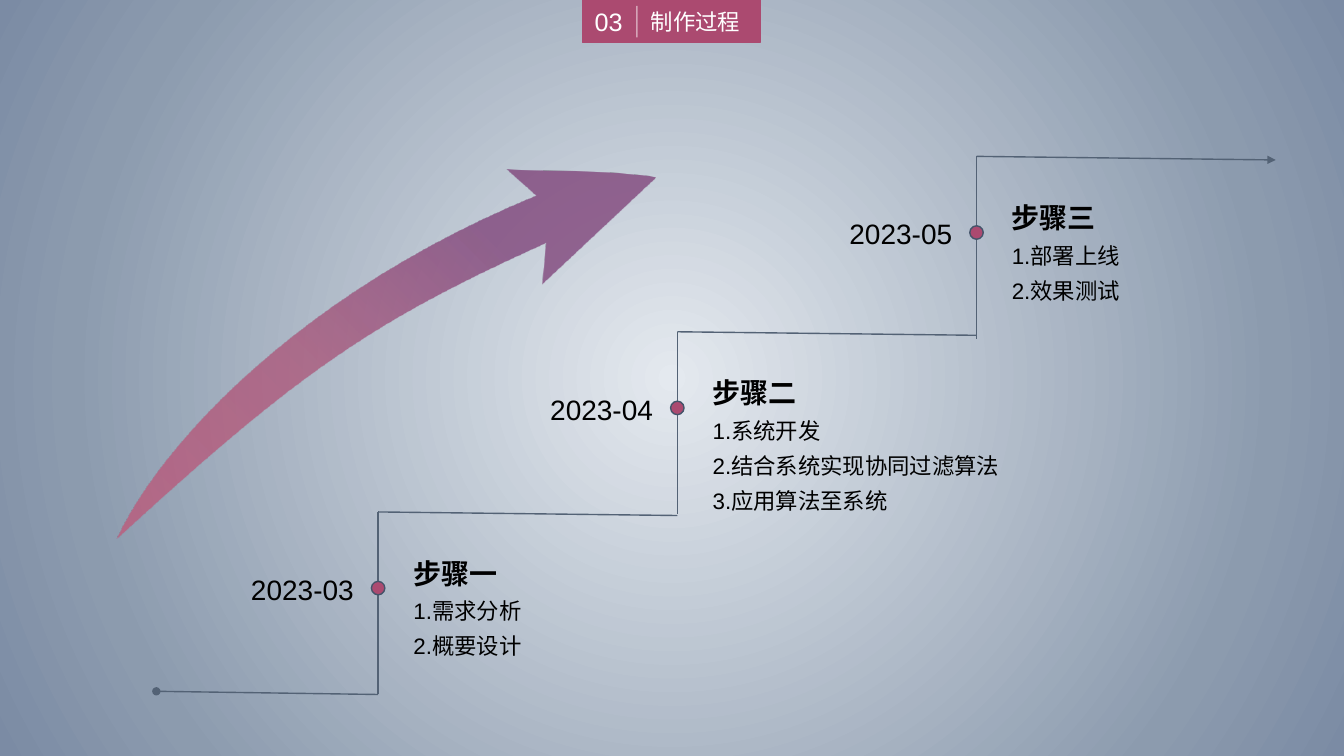
from dataclasses import dataclass

from lxml import etree
from pptx import Presentation
from pptx.dml.color import RGBColor
from pptx.enum.shapes import MSO_CONNECTOR, MSO_SHAPE
from pptx.enum.text import MSO_ANCHOR, PP_ALIGN
from pptx.oxml.ns import qn
from pptx.util import Cm, Pt

RECT, OVAL = MSO_SHAPE.RECTANGLE, MSO_SHAPE.OVAL
STRAIGHT = MSO_CONNECTOR.STRAIGHT
LEFT, CENTER, RIGHT = PP_ALIGN.LEFT, PP_ALIGN.CENTER, PP_ALIGN.RIGHT
TOP, MIDDLE = MSO_ANCHOR.TOP, MSO_ANCHOR.MIDDLE


@dataclass(frozen=True)
class Theme:
    font: str = "Arial"
    accent: str = "AB4A70"
    stair: str = "536275"
    dot_line: str = "44546A"
    ink: str = "000000"
    white: str = "FFFFFF"
    heading: int = 20
    number: int = 18
    body: int = 16
    # Gradient stops: position %, colour, opacity %
    backdrop: tuple = ((0, "E4E9EF", 100), (78, "8C9BAE", 100), (100, "7B8BA4", 100))
    sweep: tuple = ((25, "7D4178", 77), (60, "AB4A70", 68), (100, "C54F71", 68))


THEME = Theme()

# Staircase geometry in cm
RUN, DROP, RISE = 7.54, 0.09, 4.6
FIRST_X = 9.53
DOT, DOT_Y = 0.34, 1.92

# Date, heading, tasks, top of the riser, width and height of the task box
STEPS = [
    ("2023-03", "步骤一", ["1.需求分析", "2.概要设计"], 12.9, 3.23, 2.03),
    ("2023-04", "步骤二", ["1.系统开发", "2.结合系统实现协同过滤算法", "3.应用算法至系统"],
     8.36, 7.75, 2.92),
    ("2023-05", "步骤三", ["1.部署上线", "2.效果测试"], 3.94, 3.23, 2.03),
]

# Growth arrow: two points make a line, four a Bézier curve
ARROW_START = (2.95, 13.56)
ARROW_SEGMENTS = [
    [(4.06, 11.15), (7.62, 7.34), (13.49, 4.93)],
    [(12.75, 4.27)],
    [(14, 4.34), (15.24, 4.27), (16.51, 4.47)],
    [(13.64, 7.16)],
    [(13.74, 6.12)],
    [(9.4, 8.08), (7.57, 9.32), ARROW_START],
]


def rgb(color):
    return RGBColor.from_string(color)


def set_alpha(color_element, percent):
    etree.SubElement(color_element, qn("a:alpha"), val=str(percent * 1000))


def apply_radial_gradient(fill, element, stops, focus):
    """Give fill, found inside element, a circular gradient around focus (l, t, r, b in %)."""
    fill.solid()
    solid = element.find(".//" + qn("a:solidFill"))
    grad = etree.Element(qn("a:gradFill"), rotWithShape="1")
    stop_list = etree.SubElement(grad, qn("a:gsLst"))
    for position, color, opacity in stops:
        stop = etree.SubElement(stop_list, qn("a:gs"), pos=str(position * 1000))
        clr = etree.SubElement(stop, qn("a:srgbClr"), val=color)
        if opacity < 100:
            set_alpha(clr, opacity)
    circle = etree.SubElement(grad, qn("a:path"), path="circle")
    sides = {side: str(value * 1000) for side, value in zip("ltrb", focus)}
    etree.SubElement(circle, qn("a:fillToRect"), **sides)
    solid.getparent().replace(solid, grad)


def add_solid(shapes, kind, x, y, w, h, line):
    sp = shapes.add_shape(kind, Cm(x), Cm(y), Cm(w), Cm(h))
    sp.shadow.inherit = False
    sp.fill.solid()
    sp.fill.fore_color.rgb = rgb(THEME.accent)
    sp.line.color.rgb = rgb(line)
    sp.line.width = Pt(1)


def add_text(shapes, lines, x, y, w, h, size, color=THEME.ink, bold=False,
             align=LEFT, anchor=TOP, spacing=None):
    tf = shapes.add_textbox(Cm(x), Cm(y), Cm(w), Cm(h)).text_frame
    tf.word_wrap = True
    tf.vertical_anchor = anchor
    tf.text = "\n".join(lines)
    for p in tf.paragraphs:
        p.alignment = align
        p.line_spacing = spacing
        p.font.name = THEME.font
        p.font.size = Pt(size)
        p.font.bold = bold
        p.font.color.rgb = rgb(color)


def add_line(shapes, x1, y1, x2, y2, color=THEME.stair, head=None, tail=None, opacity=100):
    cn = shapes.add_connector(STRAIGHT, Cm(x1), Cm(y1), Cm(x2), Cm(y2))
    cn.line.color.rgb = rgb(color)
    cn.line.width = Pt(1)
    sp_pr = cn.element.spPr
    ln = sp_pr.find(qn("a:ln"))
    if opacity < 100:
        set_alpha(ln.find(".//" + qn("a:srgbClr")), opacity)
    for tag, end in (("a:headEnd", head), ("a:tailEnd", tail)):
        if end:
            etree.SubElement(ln, qn(tag), type=end)
    etree.SubElement(sp_pr, qn("a:effectLst"))


def add_header(slide):
    shapes = slide.shapes.add_group_shape().shapes
    add_solid(shapes, RECT, 14.68, 0, 4.47, 1.07, THEME.accent)
    add_text(shapes, ["制作过程"], 16.15, 0.08, 3, 0.94, THEME.body, THEME.white, anchor=MIDDLE)
    add_text(shapes, ["03"], 14.68, 0.03, 1.32, 1.02, THEME.number, THEME.white,
             align=CENTER, anchor=MIDDLE)
    add_line(shapes, 16.05, 0.15, 16.05, 0.94, THEME.white, opacity=49)


def add_step(slide, x, step, is_last):
    date, heading, tasks, top, task_w, task_h = step
    add_line(slide.shapes, x, top, x, top + RISE)
    add_line(slide.shapes, x, top, x + RUN, top + DROP, tail="triangle" if is_last else None)
    shapes = slide.shapes.add_group_shape().shapes
    add_solid(shapes, OVAL, x - DOT / 2, top + DOT_Y - DOT / 2, DOT, DOT, THEME.dot_line)
    add_text(shapes, [heading], x + 0.64, top + 0.99, 2.7, 1.12, THEME.heading, bold=True)
    add_text(shapes, tasks, x + 0.64, top + 1.83, task_w, task_h, THEME.body, spacing=1.3)
    add_text(shapes, [date], x - 3.66, top + 1.4, 3.3, 1.12, THEME.heading, align=RIGHT)


def bezier_points(p0, p1, p2, p3, count=24):
    for i in range(1, count + 1):
        t = i / count
        u = 1 - t
        yield tuple(u**3 * a + 3 * u * u * t * b + 3 * u * t * t * c + t**3 * d
                    for a, b, c, d in zip(p0, p1, p2, p3))


def add_growth_arrow(slide):
    points = [ARROW_START]
    for segment in ARROW_SEGMENTS:
        points += bezier_points(points[-1], *segment) if len(segment) == 3 else segment
    outline = [(Cm(x), Cm(y)) for x, y in points]
    builder = slide.shapes.build_freeform(*outline[0])
    builder.add_line_segments(outline[1:], close=True)
    sp = builder.convert_to_shape()
    sp.shadow.inherit = False
    sp.line.fill.background()
    apply_radial_gradient(sp.fill, sp.element.spPr, THEME.sweep, (100, 0, 0, 100))


def main():
    prs = Presentation()
    prs.slide_width, prs.slide_height = Cm(33.87), Cm(19.05)
    slide = prs.slides.add_slide(prs.slide_layouts[6])
    apply_radial_gradient(slide.background.fill, slide.element, THEME.backdrop, (50, 50, 50, 50))
    add_header(slide)
    add_line(slide.shapes, 3.94, 17.42, FIRST_X, 17.5, head="oval")
    for i, step in enumerate(STEPS):
        add_step(slide, FIRST_X + i * RUN, step, is_last=i == len(STEPS) - 1)
    add_growth_arrow(slide)
    prs.save("out.pptx")


if __name__ == "__main__":
    main()
